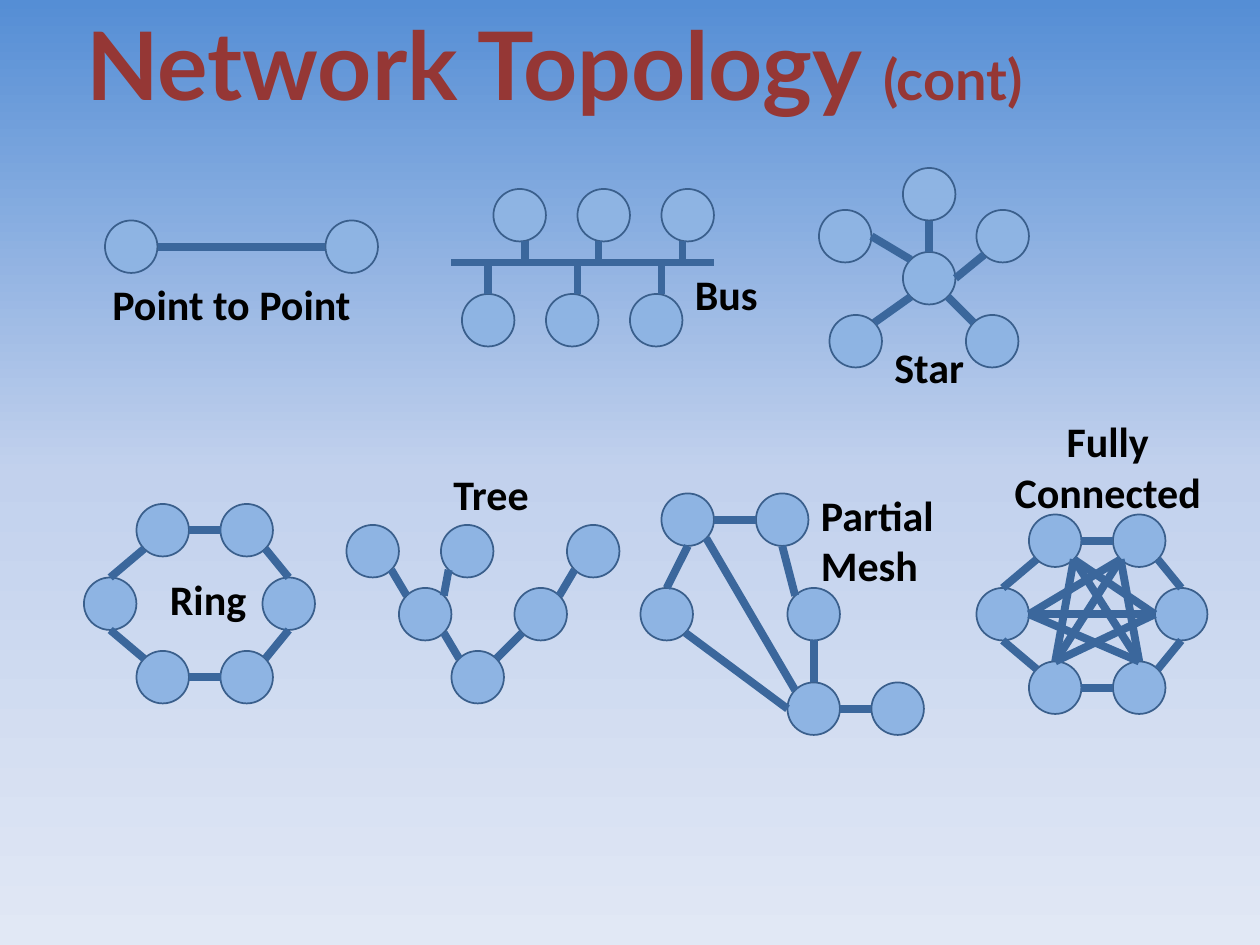
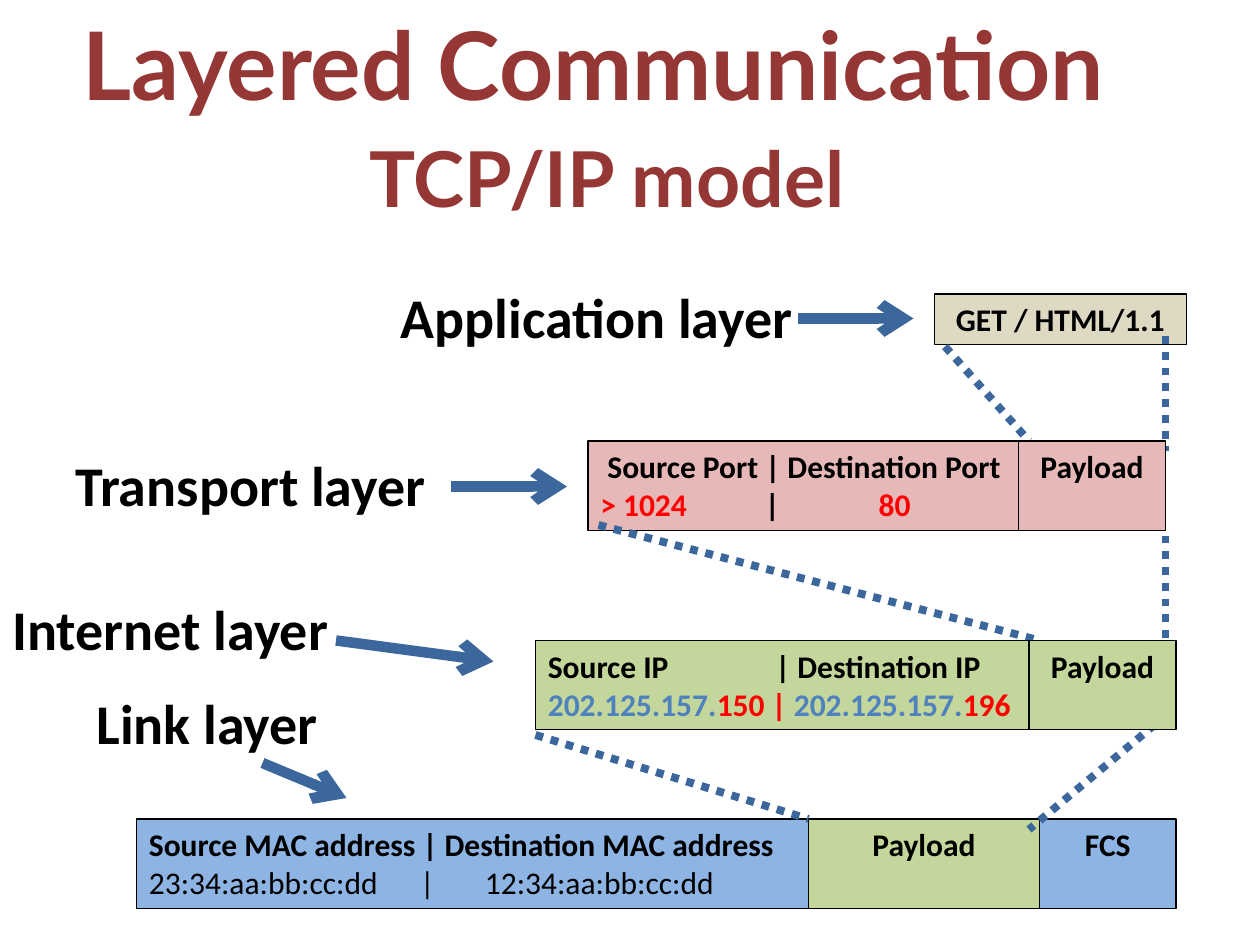
from dataclasses import dataclass
from itertools import combinations
from math import cos, pi, sin
from typing import NamedTuple, Optional, Sequence, Union

from lxml.etree import SubElement
from pptx import Presentation
from pptx.dml.color import RGBColor
from pptx.enum.dml import MSO_LINE
from pptx.enum.shapes import MSO_CONNECTOR, MSO_SHAPE
from pptx.enum.text import MSO_ANCHOR, PP_ALIGN
from pptx.oxml.ns import qn
from pptx.util import Pt

COLORS = {
    "title": "953735", "text": "000000", "alert": "FF0000", "subnet": "4F81BD",
    "wire": "3B679C", "node": "8EB4E3", "node_edge": "3A5F8C",
    "app": "DDD9C3", "transport": "E6B9B8", "internet": "C3D69B", "link": "8EB4E3",
    "sky_top": "558ED5", "sky_mid": "C2D1ED", "sky_low": "E1E8F5",
}
TITLE_FONT, BODY_FONT = "Lato", "Calibri"
NODE = 30
PACKET_HEIGHT = 51


class Span(NamedTuple):
    text: str
    color: Optional[str] = None
    size: Optional[float] = None
    bold: Optional[bool] = None


class Box(NamedTuple):
    x: float
    y: float
    w: float
    h: float


class Line(NamedTuple):
    x1: float
    y1: float
    x2: float
    y2: float


class Link(NamedTuple):
    start: int
    start_site: int
    end: int
    end_site: int


class Label(NamedTuple):
    text: str
    box: Box
    align: PP_ALIGN = PP_ALIGN.LEFT


Paragraph = Union[str, Sequence[Span]]


@dataclass
class Topology:
    label: Label
    nodes: Sequence[tuple]
    links: Sequence[Link] = ()
    wires: Sequence[Line] = ()


@dataclass
class Field:
    x: float
    w: float
    color: str
    lines: Sequence[Paragraph]
    align: PP_ALIGN = PP_ALIGN.CENTER
    tabs: Sequence[float] = ()


@dataclass
class Packet:
    y: float
    fields: Sequence[Field]
    guides: Sequence[Line]
    h: float = PACKET_HEIGHT


@dataclass
class Layer:
    label: Label
    arrow: Line


def rgb(name: str) -> RGBColor:
    return RGBColor.from_string(COLORS[name])


def write(sp, lines: Sequence[Paragraph], *, size: float, font: str = BODY_FONT,
          color: str = "text", bold: bool = True, align: PP_ALIGN = PP_ALIGN.LEFT,
          tabs: Sequence[float] = (), wrap: bool = True) -> None:
    tf = sp.text_frame
    tf.word_wrap = wrap
    tf.vertical_anchor = MSO_ANCHOR.TOP
    for i, line in enumerate(lines):
        p = tf.add_paragraph() if i else tf.paragraphs[0]
        p.alignment = align
        if tabs:
            stops = SubElement(p._p.get_or_add_pPr(), qn("a:tabLst"))
            for tab in tabs:
                SubElement(stops, qn("a:tab"), pos=str(Pt(tab)), algn="l")
        for span in [Span(line)] if isinstance(line, str) else line:
            r = p.add_run()
            r.text = span.text
            r.font.name = font
            r.font.size = Pt(span.size or size)
            r.font.bold = bold if span.bold is None else span.bold
            r.font.color.rgb = rgb(span.color or color)


def add_text(slide, lines: Sequence[Paragraph], box: Box, **fmt) -> None:
    write(slide.shapes.add_textbox(*map(Pt, box)), lines, **fmt)


def add_title(slide, lines: Sequence[Paragraph], box: Box, size: float = 54) -> None:
    add_text(slide, lines, box, size=size, font=TITLE_FONT, color="title",
             align=PP_ALIGN.CENTER, wrap=False)


def add_label(slide, label: Label, size: float) -> None:
    add_text(slide, [label.text], label.box, size=size, align=label.align)


def add_shape(slide, kind: MSO_SHAPE, box: Box, fill: str, edge: str, width: float):
    sp = slide.shapes.add_shape(kind, *map(Pt, box))
    sp.shadow.inherit = False
    sp.fill.solid()
    sp.fill.fore_color.rgb = rgb(fill)
    sp.line.color.rgb = rgb(edge)
    sp.line.width = Pt(width)
    return sp


def add_line(slide, line: Line, width: float = 4.5, dotted: bool = False,
             arrow: bool = False) -> None:
    cxn = slide.shapes.add_connector(MSO_CONNECTOR.STRAIGHT, *map(Pt, line))
    cxn.line.color.rgb = rgb("wire")
    cxn.line.width = Pt(width)
    if dotted:
        cxn.line.dash_style = MSO_LINE.ROUND_DOT
    if arrow:
        SubElement(cxn.line._get_or_add_ln(), qn("a:tailEnd"), type="arrow")
    SubElement(cxn._element.spPr, qn("a:effectLst"))


def node_site(node: tuple, site: int) -> tuple:
    r, turn = NODE / 2, site * pi / 4
    return node[0] + r - r * sin(turn), node[1] + r - r * cos(turn)


def draw_topology(slide, topology: Topology) -> None:
    for x, y in topology.nodes:
        add_shape(slide, MSO_SHAPE.OVAL, Box(x, y, NODE, NODE), "node", "node_edge", 1)
    for link in topology.links:
        start = node_site(topology.nodes[link.start], link.start_site)
        end = node_site(topology.nodes[link.end], link.end_site)
        add_line(slide, Line(*start, *end))
    for wire in topology.wires:
        add_line(slide, wire)
    add_label(slide, topology.label, 24)


def draw_packet(slide, packet: Packet) -> None:
    for field in packet.fields:
        sp = add_shape(slide, MSO_SHAPE.RECTANGLE, Box(field.x, packet.y, field.w, packet.h),
                       field.color, "text", 0.75)
        write(sp, field.lines, size=18, align=field.align, tabs=field.tabs)
    for guide in packet.guides:
        add_line(slide, guide, dotted=True)


def set_sky(slide) -> None:
    fill = slide.background.fill
    fill.gradient()
    fill.gradient_angle = 270
    stops = slide._element.find(".//" + qn("a:gsLst"))
    stops.clear()
    for pos, name in ((0, "sky_top"), (50, "sky_mid"), (100, "sky_low")):
        stop = SubElement(stops, qn("a:gs"), pos=str(pos * 1000))
        SubElement(stop, qn("a:srgbClr"), val=COLORS[name])


def hexagon(x: float, y: float) -> list:
    return [(x + dx, y + dy) for dx, dy in
            ((30, 0), (78, 0), (0, 42), (102, 42), (30, 84), (78, 84))]


RING_LINKS = [Link(2, 0, 0, 3), Link(1, 2, 0, 6), Link(3, 0, 1, 5),
              Link(4, 1, 2, 4), Link(5, 7, 3, 4), Link(5, 2, 4, 6)]
RING_PAIRS = [{link.start, link.end} for link in RING_LINKS]
INNER_SITES = (5, 3, 6, 2, 0, 0)
CROSS_LINKS = [Link(a, INNER_SITES[a], b, INNER_SITES[b])
               for a, b in combinations(range(6), 2) if {a, b} not in RING_PAIRS]
BUS_Y = 150

TOPOLOGIES = [
    Topology(Label("Point to Point ", Box(54, 155.5, 162, 36), PP_ALIGN.CENTER),
             [(60, 126), (186, 126)], [Link(0, 6, 1, 2)]),
    Topology(Label("Bus", Box(390, 150, 66, 36)),
             [(x + 48 * i, y) for x, y in ((282, 108), (264, 168)) for i in range(3)],
             wires=[Line(258, BUS_Y, 408, BUS_Y),
                    *(Line(x, 138, x, BUS_Y) for x in (300, 342, 390)),
                    *(Line(x, 168, x, BUS_Y) for x in (279, 330, 378))]),
    Topology(Label("Star", Box(504, 191.5, 72, 36)),
             [(516, 144), (516, 96), (468, 120), (558, 120), (474, 180), (552, 180)],
             [Link(0, 1, 2, 6), Link(1, 4, 0, 0), Link(3, 3, 0, 6),
              Link(0, 3, 4, 7), Link(5, 1, 0, 5)]),
    Topology(Label("Ring", Box(90, 324, 66, 36)), hexagon(48, 288), RING_LINKS),
    Topology(Label("Tree", Box(252, 264, 66, 36)),
             [(258, 372), (228, 336), (294, 336), (198, 300), (252, 300), (324, 300)],
             [Link(0, 1, 1, 5), Link(3, 5, 1, 1), Link(4, 3, 1, 7),
              Link(0, 7, 2, 3), Link(5, 3, 2, 7)]),
    Topology(Label("Partial Mesh", Box(462, 276, 90, 65.5)),
             [(498, 390), (450, 390), (450, 336), (366, 336), (378, 282), (432, 282)],
             [Link(1, 6, 0, 2), Link(2, 4, 1, 0), Link(1, 1, 4, 5), Link(3, 5, 1, 2),
              Link(5, 4, 2, 1), Link(4, 6, 5, 2), Link(4, 4, 3, 0)]),
    Topology(Label("Fully Connected ", Box(570, 234, 126, 65.5), PP_ALIGN.CENTER),
             hexagon(558, 294), RING_LINKS + CROSS_LINKS),
]

PACKETS = [
    Packet(468, [
        Field(78, 384, "link",
              ["Source MAC address | Destination MAC address",
               [Span("23:34:aa:bb:cc:dd\t|\t12:34:aa:bb:cc:dd", bold=False)]],
              PP_ALIGN.LEFT, (155, 192)),
        Field(594, 78, "link", ["FCS"]),
        Field(462, 132, "internet", ["Payload"]),
    ], [Line(306, 420, 462, 468), Line(660, 414, 588, 474)]),
    Packet(168, [Field(534, 144, "app", ["GET / HTML/1.1"])],
           [Line(540, 198, 588, 252), Line(666, 192, 666, 258)], h=29),
    Packet(252, [
        Field(336, 246, "transport",
              [" Source Port | Destination Port",
               [Span("> 1024", "alert"), Span("\t|\t"), Span("80", "alert")]],
              PP_ALIGN.LEFT, (94, 159)),
        Field(582, 84, "transport", ["Payload"]),
    ], [Line(342, 300, 594, 366), Line(666, 306, 666, 366)]),
    Packet(366, [
        Field(306, 282, "internet",
              ["Source IP\t| Destination IP",
               [Span("202.125.157.", "subnet"), Span("150 | ", "alert"),
                Span("202.125.157.", "subnet"), Span("196", "alert")]],
              PP_ALIGN.LEFT, (130,)),
        Field(588, 84, "internet", ["Payload"]),
    ], []),
]

LAYERS = [
    Layer(Label("Application layer", Box(222, 157.7, 246, 46)), Line(456, 182, 522, 182)),
    Layer(Label("Transport layer", Box(36, 254, 234, 46)), Line(258, 278, 324, 278)),
    Layer(Label("Link layer", Box(48, 390, 204, 46)), Line(150, 436, 198, 456)),
    Layer(Label("Internet layer", Box(0, 336, 264, 46)), Line(192, 366, 282, 378)),
]


def build_topologies(slide) -> None:
    set_sky(slide)
    add_title(slide, [[Span("Network Topology "), Span("(cont)", size=32)]],
              Box(0, 0, 634, 73))
    for topology in TOPOLOGIES:
        draw_topology(slide, topology)


def build_layers(slide) -> None:
    add_title(slide, ["Layered Communication"], Box(0, 0, 678, 73))
    add_title(slide, ["TCP/IP model"], Box(183, 71, 328, 60), 44)
    for packet in PACKETS:
        draw_packet(slide, packet)
    for layer in LAYERS:
        add_label(slide, layer.label, 32)
        add_line(slide, layer.arrow, width=6, arrow=True)


def main() -> None:
    prs = Presentation()
    prs.slide_width, prs.slide_height = Pt(720), Pt(540)
    for build in (build_topologies, build_layers):
        build(prs.slides.add_slide(prs.slide_layouts[6]))
    prs.save("out.pptx")


if __name__ == "__main__":
    main()
